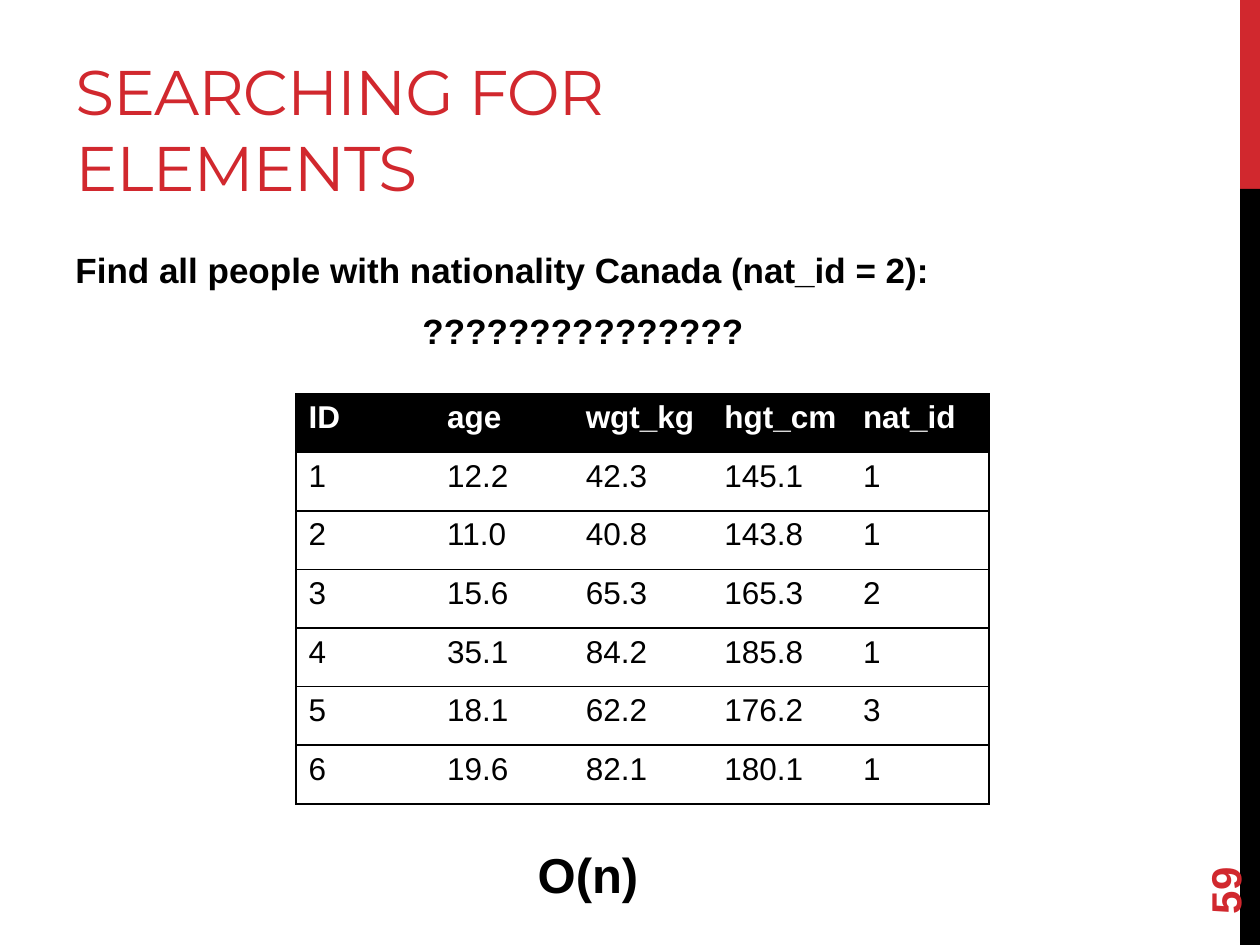
from dataclasses import dataclass

from lxml import etree
from pptx import Presentation
from pptx import util as u
from pptx.dml.color import RGBColor
from pptx.enum import shapes, text
from pptx.oxml import ns

EMU_PER_PX = 914400 / 126
COLORS = {"red": "D1282E", "black": "000000", "white": "FFFFFF"}


@dataclass
class Box:
    x: int
    y: int
    w: int
    h: int

    def emu(self) -> tuple:
        return tuple(px(v) for v in (self.x, self.y, self.w, self.h))


@dataclass
class Bar:
    box: Box
    color: str


@dataclass
class Label:
    box: Box
    lines: list
    size: int
    color: str = "black"
    font: str = "Arial"
    bold: bool = True
    anchor: text.MSO_ANCHOR = text.MSO_ANCHOR.TOP
    rotation: int = 0
    tracking: int = 0
    before: int = 0
    after: int = 0


def px(n: int) -> int:
    return u.Emu(round(n * EMU_PER_PX))


def rgb(name: str) -> RGBColor:
    return RGBColor.from_string(COLORS[name])


def add_run(p, value: str, size: int, color: str, bold: bool, font: str = "Arial"):
    r = p.add_run()
    r.text = value
    r.font.name, r.font.size, r.font.bold = font, u.Pt(size), bold
    r.font.color.rgb = rgb(color)
    return r


def draw_bar(s, bar: Bar) -> None:
    sp = s.shapes.add_shape(shapes.MSO_SHAPE.RECTANGLE, *bar.box.emu())
    sp.shadow.inherit = False
    sp.fill.solid()
    sp.fill.fore_color.rgb = rgb(bar.color)
    sp.line.fill.background()


def draw_label(s, label: Label) -> None:
    sp = s.shapes.add_textbox(*label.box.emu())
    sp.rotation = label.rotation
    tf = sp.text_frame
    tf.word_wrap = True
    tf.vertical_anchor = label.anchor
    for i, (value, align) in enumerate(label.lines):
        p = tf.add_paragraph() if i else tf.paragraphs[0]
        p.alignment = align
        p.space_before = u.Pt(label.before if i else 0)
        p.space_after = u.Pt(label.after)
        r = add_run(p, value, label.size, label.color, label.bold, label.font)
        if label.tracking:
            r.font._element.set("spc", str(label.tracking))


def set_borders(cell, visible: dict) -> None:
    tc_pr = cell._tc.get_or_add_tcPr()
    for side, shown in visible.items():
        ln = etree.SubElement(tc_pr, ns.qn(f"a:ln{side}"), w=str(u.Pt(1)))
        if shown:
            fill = etree.SubElement(ln, ns.qn("a:solidFill"))
            etree.SubElement(fill, ns.qn("a:srgbClr"), val=COLORS["black"])
        else:
            etree.SubElement(ln, ns.qn("a:noFill"))


def draw_table(s, box: Box, rows: list) -> None:
    n_cols = len(rows[0])
    table = s.shapes.add_table(len(rows), n_cols, *box.emu()).table
    table.horz_banding = False
    for col in table.columns:
        col.width = px(box.w) // n_cols
    for i, values in enumerate(rows):
        table.rows[i].height = px(box.h) // len(rows)
        header = i == 0
        for j, value in enumerate(values):
            cell = table.cell(i, j)
            set_borders(cell, {"L": j == 0, "R": j == n_cols - 1, "T": True, "B": True})
            if header:
                cell.fill.solid()
                cell.fill.fore_color.rgb = rgb("black")
            else:
                cell.fill.background()
            add_run(cell.text_frame.paragraphs[0], value, 18,
                    "white" if header else "black", header)


LEFT, CENTER = text.PP_ALIGN.LEFT, text.PP_ALIGN.CENTER

BARS = [
    Bar(Box(1240, 0, 20, 189), "red"),
    Bar(Box(1240, 189, 20, 756), "black"),
]

LABELS = [
    # Title
    Label(Box(63, 21, 798, 189), [("SEARCHING FOR ELEMENTS", LEFT)], 36, "red",
          "Montserrat", False, text.MSO_ANCHOR.BOTTOM, tracking=-60),
    # Question
    Label(Box(63, 242, 1050, 602),
          [("Find all people with nationality Canada (nat_id = 2):", LEFT),
           ("??????????????? ", CENTER)], 20, before=5, after=6),
    # Slide number
    Label(Box(1134, 811, 181, 50), [("59", LEFT)], 24, "red",
          anchor=text.MSO_ANCHOR.MIDDLE, rotation=270),
    # Complexity
    Label(Box(509, 838, 158, 72), [("O(n)", CENTER)], 28),
]

PEOPLE = [
    ["ID", "age", "wgt_kg", "hgt_cm", "nat_id"],
    ["1", "12.2", "42.3", "145.1", "1"],
    ["2", "11.0", "40.8", "143.8", "1"],
    ["3", "15.6", "65.3", "165.3", "2"],
    ["4", "35.1", "84.2", "185.8", "1"],
    ["5", "18.1", "62.2", "176.2", "3"],
    ["6", "19.6", "82.1", "180.1", "1"],
]


def main() -> None:
    prs = Presentation()
    prs.slide_width, prs.slide_height = px(1260), px(945)
    s = prs.slides.add_slide(prs.slide_layouts[6])
    for bar in BARS:
        draw_bar(s, bar)
    for label in LABELS:
        draw_label(s, label)
    draw_table(s, Box(296, 394, 693, 410), PEOPLE)
    prs.save("out.pptx")


if __name__ == "__main__":
    main()
